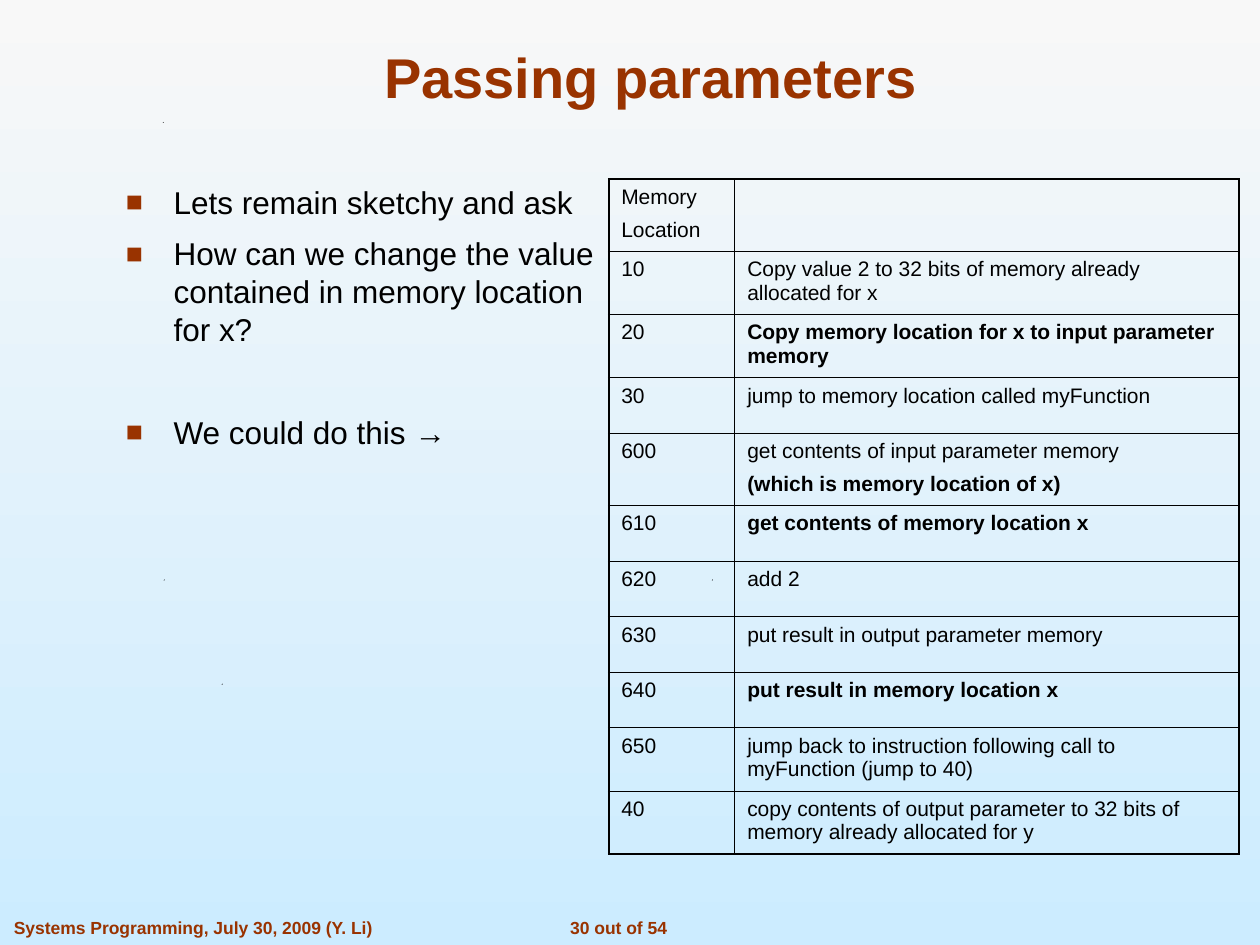
import dataclasses

import lxml.etree
import pptx
import pptx.dml.color
import pptx.enum.text
import pptx.oxml.ns
import pptx.util

Cm = pptx.util.Cm
Pt = pptx.util.Pt
qn = pptx.oxml.ns.qn
PP_ALIGN = pptx.enum.text.PP_ALIGN


@dataclasses.dataclass(frozen=True)
class Theme:
    accent: str = "993300"
    ink: str = "000000"
    sky_top: str = "F8F8F8"
    sky_bottom: str = "CCECFF"
    font: str = "Arial"
    symbol_font: str = "Times New Roman"
    title_size: int = 32
    body_size: int = 18
    table_size: int = 12
    footer_size: int = 10
    outer_line: float = 1.08
    inner_line: float = 0.45


def rgb(color):
    return pptx.dml.color.RGBColor.from_string(color)


class SlideBuilder:
    def __init__(self, prs, theme):
        self.theme = theme
        self.s = prs.slides.add_slide(prs.slide_layouts[5])

    def style(self, p, size, color, bold=False):
        for r in p.runs:
            r.font.name = self.theme.font
            r.font.size = Pt(size)
            r.font.bold = bold
            r.font.color.rgb = rgb(color)

    def background(self):
        fill = self.s.background.fill
        fill.gradient()
        fill.gradient_angle = 270
        for stop, color in zip(fill.gradient_stops, (self.theme.sky_top, self.theme.sky_bottom)):
            stop.color.rgb = rgb(color)

    def title(self, text, left, top, width, height):
        sp = self.s.shapes.title
        sp.left, sp.top, sp.width, sp.height = Cm(left), Cm(top), Cm(width), Cm(height)
        tf = sp.text_frame
        tf.text = text
        tf.auto_size = pptx.enum.text.MSO_AUTO_SIZE.NONE
        tf.vertical_anchor = pptx.enum.text.MSO_ANCHOR.BOTTOM
        p = tf.paragraphs[0]
        p.alignment = PP_ALIGN.CENTER
        self.style(p, self.theme.title_size, self.theme.accent, True)

    def footer(self, text, left, width, align):
        sp = self.s.shapes.add_textbox(Cm(left), Cm(18.36), Cm(width), Cm(0.69))
        tf = sp.text_frame
        tf.text = text
        tf.word_wrap = False
        p = tf.paragraphs[0]
        p.alignment = align
        self.style(p, self.theme.footer_size, self.theme.accent, True)

    def bullet(self, p):
        pPr = p._p.get_or_add_pPr()
        pPr.set("marL", str(Cm(0.96)))
        pPr.set("indent", str(Cm(-0.96)))
        color = lxml.etree.SubElement(pPr, qn("a:buClr"))
        lxml.etree.SubElement(color, qn("a:srgbClr"), val=self.theme.accent)
        lxml.etree.SubElement(pPr, qn("a:buSzPct"), val="90000")
        lxml.etree.SubElement(pPr, qn("a:buFont"), typeface=self.theme.font)
        lxml.etree.SubElement(pPr, qn("a:buChar"), char="■")

    def bullets(self, items, left, top, width, height):
        tf = self.s.shapes.add_textbox(Cm(left), Cm(top), Cm(width), Cm(height)).text_frame
        tf.word_wrap = True
        tf.text = "\n".join(text for text, symbol, gap in items)
        for p, (text, symbol, gap) in zip(tf.paragraphs, items):
            self.bullet(p)
            if gap:
                p.space_before = Pt(gap)
            if symbol:
                p.add_run().text = symbol
            self.style(p, self.theme.body_size, self.theme.ink)
            if symbol:
                p.runs[-1].font.name = self.theme.symbol_font

    def borders(self, cell, outer_sides):
        tcPr = cell._tc.get_or_add_tcPr()
        for side in "LRTB":
            width = self.theme.outer_line if side in outer_sides else self.theme.inner_line
            ln = lxml.etree.SubElement(tcPr, qn(f"a:ln{side}"), w=str(Pt(width)))
            fill = lxml.etree.SubElement(ln, qn("a:solidFill"))
            lxml.etree.SubElement(fill, qn("a:srgbClr"), val=self.theme.ink)

    def cell(self, cell, plain, bold, outer_sides):
        self.borders(cell, outer_sides)
        cell.fill.background()
        tf = cell.text_frame
        tf.text = "\n".join(filter(None, (plain, bold)))
        for i, p in enumerate(tf.paragraphs):
            if i:
                p.space_before = Pt(5.2)
            self.style(p, self.theme.table_size, self.theme.ink, p.text == bold)

    def table(self, rows, widths, left, top):
        heights = [Cm(row[0]) for row in rows]
        frame = self.s.shapes.add_table(
            len(rows), len(widths), Cm(left), Cm(top), Cm(sum(widths)), sum(heights))
        table = frame.table
        table.first_row = table.horz_banding = False
        for column, width in zip(table.columns, widths):
            column.width = Cm(width)
        for i, (height, location, plain, bold) in enumerate(rows):
            table.rows[i].height = heights[i]
            edge = "T" if i == 0 else "B" if i == len(rows) - 1 else ""
            self.cell(table.cell(i, 0), location, "", "L" + edge)
            self.cell(table.cell(i, 1), plain, bold, "R" + edge)

    def speck(self, left, top):
        size = Cm(0.02)
        x, y = Cm(left), Cm(top)
        builder = self.s.shapes.build_freeform(x, y + size)
        builder.add_line_segments([(x + size, y), (x + size, y + size)])
        sp = builder.convert_to_shape()
        sp.shadow.inherit = False
        sp.fill.solid()
        sp.fill.fore_color.rgb = rgb(self.theme.ink)
        sp.line.fill.background()


BULLETS = [
    ("Lets remain sketchy and ask", "", 0),
    ("How can we change the value contained in memory location for x?", "", 7.9),
    ("We could do this ", "→", 37),
]

SHORT, MEDIUM, TALL = 1.12, 1.27, 1.46
ROWS = [
    (TALL, "Memory\nLocation", "", ""),
    (MEDIUM, "10", "Copy value 2 to 32 bits of memory already allocated for x", ""),
    (MEDIUM, "20", "", "Copy memory location for x to input parameter memory"),
    (SHORT, "30", "jump to memory location called myFunction", ""),
    (TALL, "600", "get contents of input parameter memory", "(which is memory location of x)"),
    (SHORT, "610", "", "get contents of memory location x"),
    (SHORT, "620", "add 2", ""),
    (SHORT, "630", "put result in output parameter memory", ""),
    (SHORT, "640", "", "put result in memory location x"),
    (MEDIUM, "650", "jump back to instruction following call to myFunction (jump to 40)", ""),
    (MEDIUM, "40",
     "copy contents of output parameter to 32 bits of memory already allocated for y", ""),
]

SPECKS = [(4.47, 13.78), (3.3, 11.68), (14.35, 11.68), (3.28, 2.46)]


def main():
    prs = pptx.Presentation()
    prs.slide_width, prs.slide_height = Cm(25.4), Cm(19.05)
    slide = SlideBuilder(prs, Theme())
    slide.background()
    for left, top in SPECKS:
        slide.speck(left, top)
    slide.footer("30 out of 54", 10.59, 3.76, PP_ALIGN.CENTER)
    slide.footer("Systems Programming, July 30, 2009 (Y. Li)", 0.03, 7.77, PP_ALIGN.LEFT)
    slide.title("Passing parameters", 1.9, 0.64, 22.43, 1.7)
    slide.bullets(BULLETS, 2.29, 3.56, 10.03, 12.45)
    slide.table(ROWS, [2.54, 10.16], 12.27, 3.61)
    prs.save("out.pptx")


if __name__ == "__main__":
    main()
